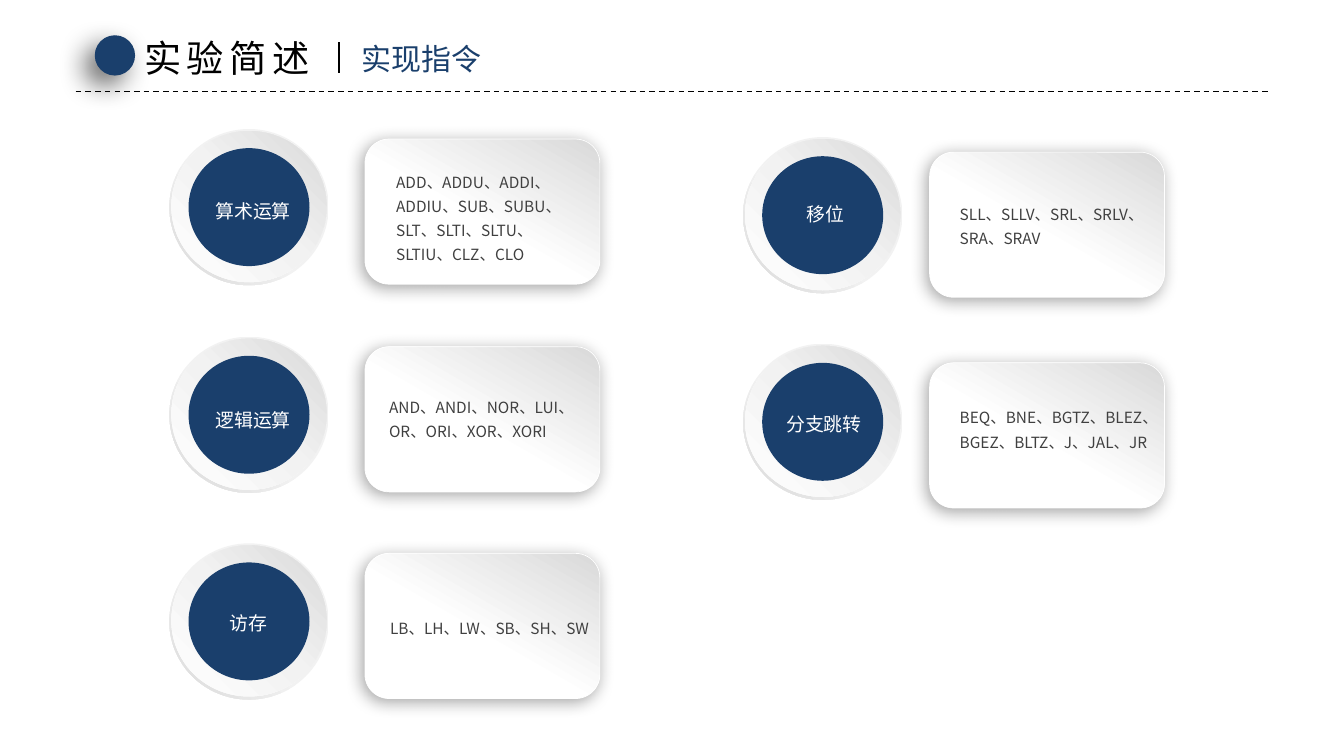
from dataclasses import dataclass

from lxml import etree
from pptx import Presentation
from pptx.dml.color import RGBColor
from pptx.enum import dml, shapes, text
from pptx.oxml.ns import qn
from pptx.util import Inches, Pt


@dataclass(frozen=True)
class Theme:
    font: str = "Noto Sans CJK SC"
    navy: str = "1A3F6C"
    black: str = "000000"
    white: str = "FFFFFF"
    body: str = "404040"
    title_size: float = 26.6
    subtitle_size: float = 21.4
    label_size: float = 13.5
    body_size: float = 11
    # Gradients: stops as (percent, colour), then clockwise angle
    card: tuple = (((45, "FFFFFF"), (100, "D9D9D9")), 300)
    rim: tuple = (((0, "F2F2F2"), (55, "F2F2F2"), (100, "D9D9D9")), 135)
    dish: tuple = (((0, "FFFFFF"), (51, "F2F2F2"), (100, "D9D9D9")), 315)


THEME = Theme()
SHAPE = shapes.MSO_SHAPE

# Each category: name, badge corner, label offset in badge,
# card corner, note (left, top, width), instructions
CATEGORIES = [
    ("算术运算", (1.68, 1.28), (0.36, 0.65), (3.62, 1.38), (3.83, 1.61, 2.05),
     "ADD、ADDU、ADDI、ADDIU、SUB、SUBU、SLT、SLTI、SLTU、SLTIU、CLZ、CLO"),
    ("移位", (7.37, 1.36), (0.53, 0.6), (9.22, 1.51), (9.42, 1.93, 2.19),
     "SLL、SLLV、SRL、SRLV、SRA、SRAV"),
    ("逻辑运算", (1.68, 3.34), (0.36, 0.66), (3.62, 3.44), (3.76, 3.85, 2.19),
     "AND、ANDI、NOR、LUI、OR、ORI、XOR、XORI"),
    ("分支跳转", (7.37, 3.41), (0.33, 0.63), (9.22, 3.6), (9.42, 3.95, 2.19),
     "BEQ、BNE、BGTZ、BLEZ、BGEZ、BLTZ、J、JAL、JR"),
    ("访存", (1.68, 5.39), (0.5, 0.63), (3.62, 5.49), (3.77, 6.04, 2.19),
     "LB、LH、LW、SB、SH、SW"),
]


def rgb(value):
    return RGBColor.from_string(value)


def set_gradient(shape, stops, angle):
    shape.fill.gradient()
    shape.fill.gradient_angle = 360 - angle
    stop_list = next(shape._element.spPr.iter(qn("a:gsLst")))
    for stop in list(stop_list):
        stop_list.remove(stop)
    for percent, colour in stops:
        stop = etree.SubElement(stop_list, qn("a:gs"), pos=str(percent * 1000))
        etree.SubElement(stop, qn("a:srgbClr"), val=colour)


def set_shadow(shape, opacity, blur, distance, angle):
    effects = shape._element.spPr.find(qn("a:effectLst"))
    shadow = etree.SubElement(
        effects, qn("a:outerShdw"), blurRad=str(Pt(blur)), dist=str(Pt(distance)),
        dir=str(angle * 60000), algn="ctr", rotWithShape="0")
    colour = etree.SubElement(shadow, qn("a:srgbClr"), val=THEME.black)
    etree.SubElement(colour, qn("a:alpha"), val=str(opacity * 1000))


def add_figure(parent, kind, left, top, width, height, fill):
    """Add a borderless shape; fill is a colour or a gradient."""
    shape = parent.add_shape(kind, Inches(left), Inches(top), Inches(width), Inches(height))
    shape.shadow.inherit = False
    shape.line.fill.background()
    if isinstance(fill, str):
        shape.fill.solid()
        shape.fill.fore_color.rgb = rgb(fill)
    else:
        set_gradient(shape, *fill)
    return shape


def write(box, words, size, colour, wrap=True, line_spacing=None, tracking=None):
    frame = box.text_frame
    frame.word_wrap = wrap
    frame.auto_size = text.MSO_AUTO_SIZE.NONE
    frame.vertical_anchor = text.MSO_ANCHOR.TOP
    para = frame.paragraphs[0]
    para.text = words
    para.alignment = text.PP_ALIGN.LEFT
    if line_spacing:
        para.line_spacing = line_spacing
    para.font.size = Pt(size)
    para.font.color.rgb = rgb(colour)
    para.font.name = THEME.font
    # East Asian typeface and letter spacing
    props = para._p.pPr.find(qn("a:defRPr"))
    etree.SubElement(props, qn("a:ea"), typeface=THEME.font)
    if tracking:
        props.set("spc", str(tracking * 100))


def add_text(parent, left, top, width, height, words, size, colour, **options):
    box = parent.add_textbox(Inches(left), Inches(top), Inches(width), Inches(height))
    write(box, words, size, colour, **options)


def add_rule(page, start, end, weight, dash=None):
    rule = page.shapes.add_connector(
        shapes.MSO_CONNECTOR.STRAIGHT, *(Inches(value) for value in start + end))
    rule.line.color.rgb = rgb(THEME.black)
    rule.line.width = Pt(weight)
    if dash:
        rule.line.dash_style = dash
    etree.SubElement(rule._element.spPr, qn("a:effectLst"))


def add_header(page):
    add_rule(page, (0.75, 0.91), (12.58, 0.91), 1, dml.MSO_LINE.DASH)
    dot = add_figure(page.shapes, SHAPE.OVAL, 0.94, 0.35, 0.4, 0.4, THEME.navy)
    set_shadow(dot, 60, 20, 10, 135)
    title = page.shapes.title
    title.left, title.top = Inches(1.33), Inches(0.3)
    title.width, title.height = Inches(1.92), Inches(0.55)
    write(title, "实验简述", THEME.title_size, THEME.black, wrap=False, tracking=4)
    add_text(page.shapes, 3.49, 0.35, 1.4, 0.46, "实现指令",
             THEME.subtitle_size, THEME.navy, wrap=False)
    add_rule(page, (3.36, 0.42), (3.36, 0.72), 1.5)


def add_badge(page, left, top, label_offset, name):
    group = page.shapes.add_group_shape().shapes
    rim = add_figure(group, SHAPE.DONUT, left, top, 1.58, 1.55, THEME.rim)
    rim.adjustments[0] = 0.049
    add_figure(group, SHAPE.OVAL, left + 0.02, top + 0.02, 1.54, 1.5, THEME.dish)
    add_figure(group, SHAPE.OVAL, left + 0.19, top + 0.19, 1.2, 1.17, THEME.navy)
    across, down = label_offset
    add_text(group, left + across, top + down, 1.06, 0.33, name,
             THEME.label_size, THEME.white)


def add_card(page, left, top, note, instructions):
    card = add_figure(page.shapes, SHAPE.ROUNDED_RECTANGLE, left, top, 2.33, 1.44, THEME.card)
    card.line.color.rgb = rgb(THEME.white)
    card.line.width = Pt(0.5)
    set_shadow(card, 34, 12, 3, 135)
    add_text(page.shapes, *note, 1.06, instructions,
             THEME.body_size, THEME.body, line_spacing=1.3)


def main():
    deck = Presentation()
    deck.slide_width, deck.slide_height = Inches(13.33), Inches(7.5)
    page = deck.slides.add_slide(deck.slide_layouts[5])
    add_header(page)
    for name, badge, label_offset, card, note, instructions in CATEGORIES:
        add_card(page, *card, note, instructions)
        add_badge(page, *badge, label_offset, name)
    deck.save("out.pptx")


if __name__ == "__main__":
    main()
